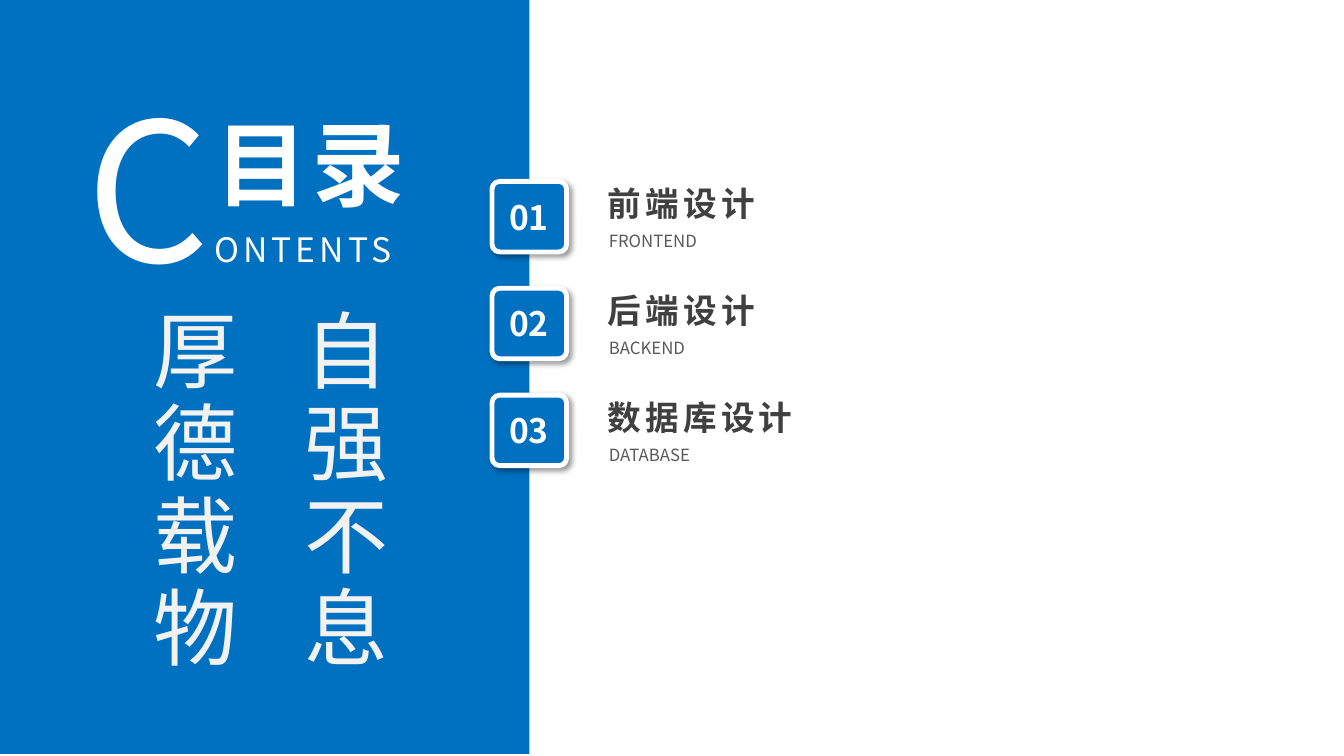
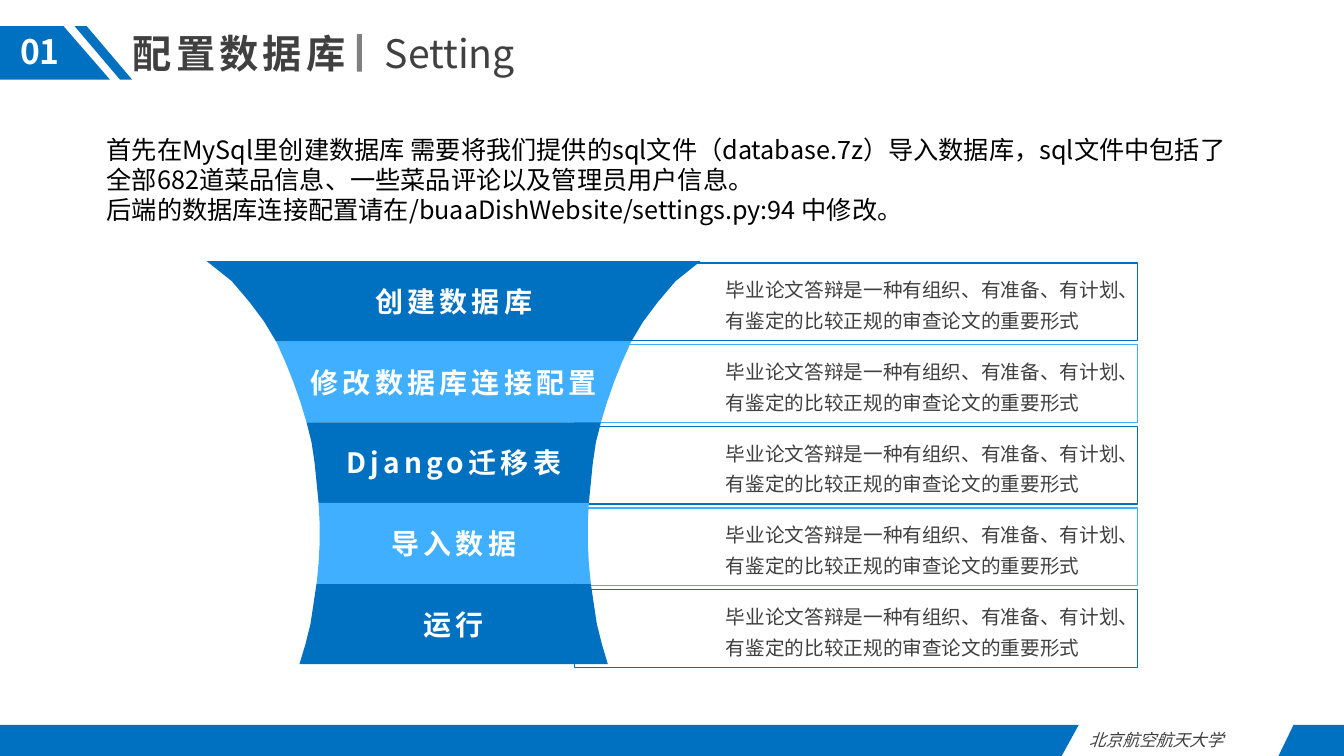
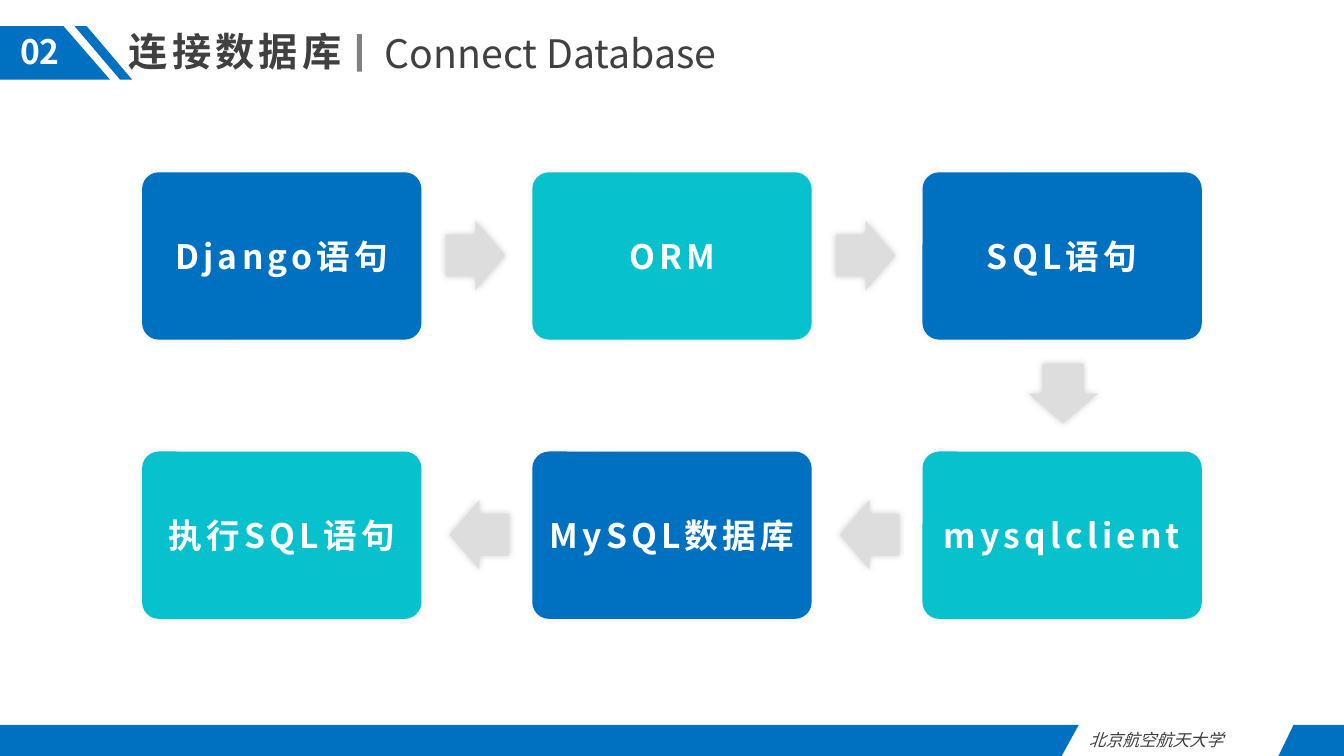
from pptx import Presentation
from pptx.dml.color import RGBColor
from pptx.enum.shapes import MSO_SHAPE
from pptx.enum.text import MSO_ANCHOR, MSO_AUTO_SIZE, PP_ALIGN
from pptx.oxml import parse_xml
from pptx.oxml.ns import nsdecls, qn
from pptx.util import Inches, Pt

FONT = "Noto Sans CJK SC"
BLUE, SKY, TEAL = "0070C0", "40AFFF", "07C1CC"
WHITE, PALE, SILVER = "FFFFFF", "F2F2F2", "DDDDDD"
BLACK, DARK, GREY, MID = "000000", "404040", "595959", "808080"
LEFT, CENTER, JUST = PP_ALIGN.LEFT, PP_ALIGN.CENTER, PP_ALIGN.JUSTIFY


def rgb(code):
    return RGBColor.from_string(code)


class Deck:
    def __init__(self):
        self.prs = Presentation()
        self.prs.slide_width = Inches(13.33)
        self.prs.slide_height = Inches(7.5)

    def new(self):
        self.slide = self.prs.slides.add_slide(self.prs.slide_layouts[6])

    # Text
    def style(self, run, size, color, bold=False, italic=False, space=0):
        font = run.font
        font.name, font.size = FONT, Pt(size)
        font.bold, font.italic = bold, italic
        font.color.rgb = rgb(color)
        props = run._r.get_or_add_rPr()
        if space:
            props.set("spc", str(space * 100))
        east = parse_xml(f'<a:ea {nsdecls("a")} typeface="{FONT}"/>')
        props.find(qn("a:latin")).addnext(east)

    def label(self, shape, text, size, color, align=LEFT, lead=None, **look):
        frame = shape.text_frame
        frame.text = text
        for par in frame.paragraphs:
            par.alignment = align
            if lead:
                par.line_spacing = lead
            for run in par.runs:
                self.style(run, size, color, **look)

    def text(self, x, y, w, h, text, size, color, wrap=True, vert=None, **look):
        box = self.slide.shapes.add_textbox(Inches(x), Inches(y), Inches(w), Inches(h))
        frame = box.text_frame
        frame.word_wrap = wrap
        frame.auto_size = MSO_AUTO_SIZE.SHAPE_TO_FIT_TEXT
        if vert:
            box.element.find(".//" + qn("a:bodyPr")).set("vert", vert)
        self.label(box, text, size, color, **look)
        return box

    # Shapes
    def paint(self, shape, fill, line=None, width=1):
        shape.shadow.inherit = False
        if fill:
            shape.fill.solid()
            shape.fill.fore_color.rgb = rgb(fill)
        else:
            shape.fill.background()
        if line:
            shape.line.color.rgb = rgb(line)
            shape.line.width = Pt(width)
        else:
            shape.line.fill.background()
        frame = shape.text_frame
        frame.word_wrap = True
        frame.vertical_anchor = MSO_ANCHOR.MIDDLE
        frame.margin_left = frame.margin_right = Inches(0.05)
        return shape

    def shape(self, kind, x, y, w, h, fill, line=None, width=1, adj=()):
        shape = self.slide.shapes.add_shape(
            kind, Inches(x), Inches(y), Inches(w), Inches(h))
        for i, part in enumerate(adj):
            shape.adjustments[i] = part
        return self.paint(shape, fill, line, width)

    def poly(self, points, fill):
        spots = [(Inches(x), Inches(y)) for x, y in points]
        pen = self.slide.shapes.build_freeform(*spots[0])
        pen.add_line_segments(spots[1:], close=True)
        return self.paint(pen.convert_to_shape(), fill)

    def shade(self, shape, alpha, blur, dist=0, turn=0):
        effects = shape.element.find(".//" + qn("a:effectLst"))
        effects.append(parse_xml(
            f'<a:outerShdw {nsdecls("a")} blurRad="{Pt(blur)}" dist="{Pt(dist)}" '
            f'dir="{turn * 60000}" algn="ctr" rotWithShape="0"><a:srgbClr val="{BLACK}">'
            f'<a:alpha val="{alpha * 1000}"/></a:srgbClr></a:outerShdw>'))

    # Shared header and footer
    def page(self, num, title, sub, x, y):
        self.new()
        self.text(x, y, 2.55, 0.57, title, 28, DARK, bold=True, space=3)
        self.shape(MSO_SHAPE.RECTANGLE, 3.54, 0.34, 0.05, 0.37, MID)
        self.text(3.72, 0.24, 3.63, 0.57, sub, 28, DARK, wrap=False)
        self.poly([(0, 0.26), (0.63, 0.26), (1.09, 0.79), (0, 0.79)], BLUE)
        self.poly([(0.74, 0.26), (0.86, 0.26), (1.31, 0.79), (1.19, 0.79)], BLUE)
        self.text(0, 0.26, 0.79, 0.5, num, 24, WHITE, align=CENTER, bold=True)
        self.poly([(0, 7.19), (10.7, 7.19), (10.53, 7.5), (0, 7.5)], BLUE)
        self.text(10.7, 7.19, 1.98, 0.3, "北京航空航天大学", 12, DARK,
                  align=JUST, italic=True)
        self.poly([(12.83, 7.19), (13.33, 7.19), (13.33, 7.5), (12.68, 7.5)], BLUE)


def contents(deck):
    deck.new()
    deck.shape(MSO_SHAPE.RECTANGLE, 0, -0.02, 5.25, 7.5, BLUE)
    box = deck.text(0.76, 0.64, 3.68, 2.42, "C", 138, WHITE, align=JUST, space=3)
    tail = box.text_frame.paragraphs[0].add_run()
    tail.text = "ONTENTS"
    deck.style(tail, 24, WHITE, space=3)
    deck.text(2.04, 1.01, 2.44, 1.21, "目录", 66, WHITE, align=JUST, bold=True, space=3)
    deck.text(1.23, 2.96, 3.23, 4.11, "自强不息\n厚德载物", 60, PALE, wrap=False,
              vert="eaVert", align=JUST, lead=1.5, space=6)

    # Chapters
    names = [("前端设计", "FRONTEND"), ("后端设计", "BACKEND"), ("数据库设计", "DATABASE")]
    for i, (name, sub) in enumerate(names):
        y = 1.8 + 1.06 * i
        tile = deck.shape(MSO_SHAPE.ROUNDED_RECTANGLE, 4.88, y, 0.74, 0.7,
                          BLUE, WHITE, 3.5, adj=[0.11])
        deck.shade(tile, 40, 4, 3, 45)
        deck.text(4.85, y + 0.1, 0.79, 0.5, f"{i + 1:02}", 24, WHITE,
                  align=CENTER, bold=True)
        deck.text(5.93, y - 0.03, 3.05, 0.5, name, 24, DARK, bold=True, space=3)
        deck.text(5.94, y + 0.44, 2.63, 0.3, sub, 12, GREY)


def setting(deck):
    deck.page("01", "配置数据库", "Setting", 1.22, 0.24)

    # Funnel: half widths at equal steps, four steps a band
    steps = ["创建数据库", "修改数据库连接配置", "Django迁移表", "导入数据", "运行"]
    note = "毕业论文答辩是一种有组织、有准备、有计划、有鉴定的比较正规的审查论文的重要形式"
    half = [2.45, 2.2, 2.03, 1.88, 1.76, 1.67, 1.59, 1.52, 1.46, 1.41, 1.38,
            1.36, 1.34, 1.33, 1.33, 1.34, 1.36, 1.39, 1.42, 1.47, 1.53]
    mid, top = 4.5, 2.59
    for i, step in enumerate(steps):
        color = SKY if i % 2 else BLUE
        box = deck.shape(MSO_SHAPE.RECTANGLE, 5.7, top + 0.02 + 0.81 * i, 5.58, 0.77,
                         None, color)
        frame = box.text_frame
        frame.margin_left = Inches(1.5)
        frame.margin_right = frame.margin_top = frame.margin_bottom = 0
        deck.label(box, note, 14, DARK, lead=1.3)
        rows = range(4 * i, 4 * i + 5)
        right = [(mid + half[k], top + 0.2 * k) for k in rows]
        left = [(2 * mid - x, y) for x, y in reversed(right)]
        band = deck.poly(right + left, color)
        deck.label(band, step, 20, WHITE, align=CENTER, bold=True, space=3)

    deck.text(0.96, 1.28, 11.42, 1.01,
              "首先在MySql里创建数据库 需要将我们提供的sql文件（database.7z）导入数据库，"
              "sql文件中包括了全部682道菜品信息、一些菜品评论以及管理员用户信息。\n"
              "后端的数据库连接配置请在/buaaDishWebsite/settings.py:94 中修改。", 18, BLACK)


def connect(deck):
    deck.page("02", "连接数据库", "Connect Database", 1.18, 0.22)

    # Flow: right along the top row, back along the lower one
    names = ["Django语句", "ORM", "SQL语句", "mysqlclient", "MySQL数据库", "执行SQL语句"]
    x, y, dx, dy = 1.41, 1.71, 3.87, 2.77
    for i, name in enumerate(names):
        row = i // 3
        col = 5 - i if row else i
        card = deck.shape(MSO_SHAPE.ROUNDED_RECTANGLE, x + dx * col, y + dy * row,
                          2.77, 1.66, TEAL if i % 2 else BLUE, adj=[0.1])
        deck.shade(card, 8, 5)
        deck.label(card, name, 24, WHITE, align=CENTER, bold=True, space=3)

    arrows = [(MSO_SHAPE.DOWN_ARROW, 10.2, 3.61, 0.69, 0.59)]
    for i in range(2):
        arrows.append((MSO_SHAPE.RIGHT_ARROW, 4.42 + dx * i, 2.19, 0.59, 0.69))
        arrows.append((MSO_SHAPE.LEFT_ARROW, 4.46 + dx * i, 4.96, 0.59, 0.69))
    for arrow in arrows:
        deck.shade(deck.shape(*arrow, SILVER, adj=[0.6, 0.5]), 18, 5)


def main():
    deck = Deck()
    contents(deck)
    setting(deck)
    connect(deck)
    deck.prs.save("out.pptx")


if __name__ == "__main__":
    main()
